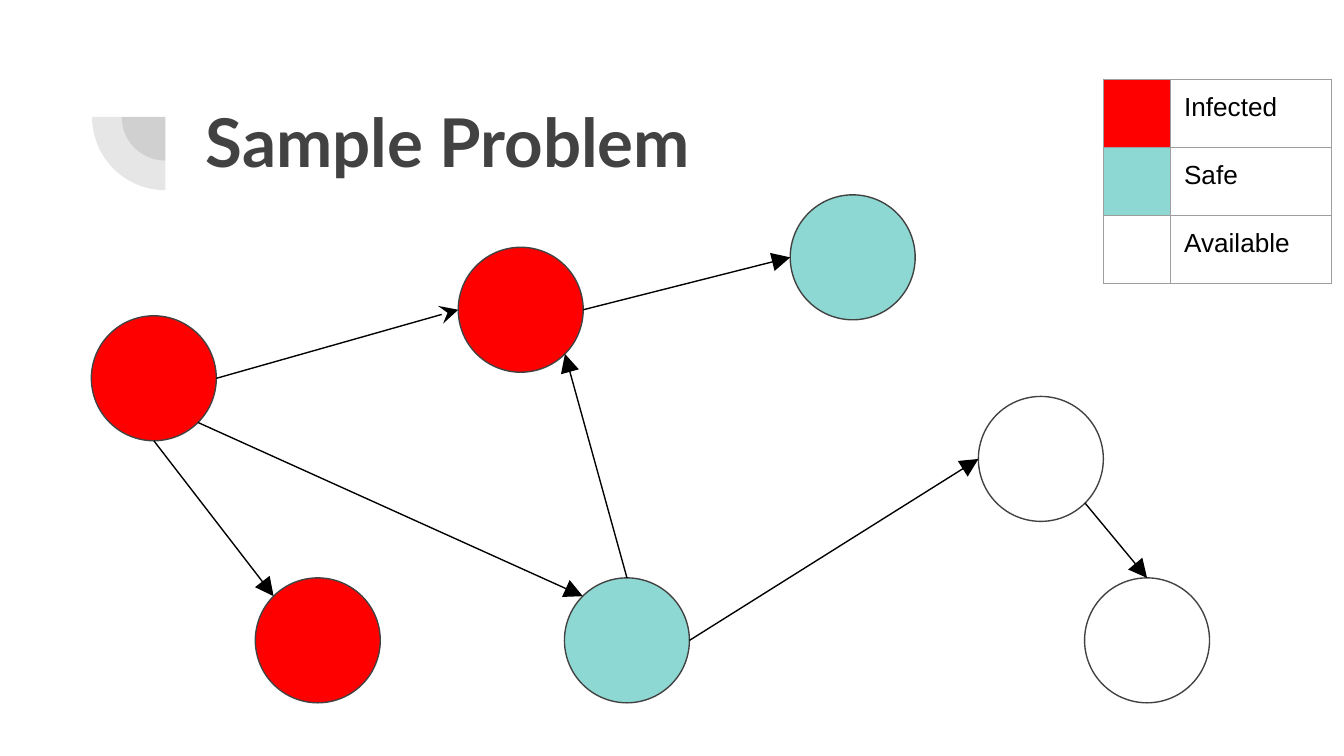
from dataclasses import dataclass
from math import cos, radians, sin

from lxml.etree import SubElement
from pptx import Presentation
from pptx.dml.color import RGBColor
from pptx.enum.shapes import MSO_CONNECTOR as Connector, MSO_SHAPE as Shape
from pptx.enum.text import MSO_ANCHOR as Anchor, MSO_AUTO_SIZE as AutoSize, PP_ALIGN as Align
from pptx.oxml.ns import qn
from pptx.util import Inches, Pt

RED, TEAL, WHITE = "FF0000", "8DD8D3", "FFFFFF"
BLACK, DARK, GREY = "000000", "424242", "9E9E9E"
DIAMETER = 0.93
RADIUS = DIAMETER / 2
RIGHT, LOWER_RIGHT, BOTTOM, LEFT, UPPER_LEFT, TOP = 0, 45, 90, 180, 225, 270


@dataclass(frozen=True)
class Node:
    left: float
    top: float
    color: str

    def edge(self, angle: float) -> tuple[float, float]:
        return (
            self.left + RADIUS + RADIUS * cos(radians(angle)),
            self.top + RADIUS + RADIUS * sin(radians(angle)),
        )


@dataclass(frozen=True)
class Link:
    source: Node
    source_angle: float
    target: Node
    target_angle: float
    head: str = "triangle"


@dataclass(frozen=True)
class Status:
    label: str
    color: str | None


def rgb(color: str) -> RGBColor:
    return RGBColor.from_string(color)


def draw_quarter(slide, center_x: float, center_y: float, diameter: float) -> None:
    quarter = slide.shapes.add_shape(
        Shape.PIE,
        Inches(center_x - diameter / 2),
        Inches(center_y - diameter / 2),
        Inches(diameter),
        Inches(diameter),
    )
    quarter.shadow.inherit = False
    quarter.rotation = 270
    quarter.adjustments[0] = 107.93
    quarter.adjustments[1] = 162
    quarter.fill.solid()
    quarter.fill.fore_color.rgb = rgb(DARK)
    color = quarter._element.spPr.find(f"{qn('a:solidFill')}/{qn('a:srgbClr')}")
    SubElement(color, qn("a:alpha"), val="13000")
    quarter.line.fill.background()


def draw_title(slide, text: str) -> None:
    title = slide.shapes.title
    title.left, title.top = Inches(1.43), Inches(0.65)
    title.width, title.height = Inches(7.69), Inches(1.09)
    frame = title.text_frame
    frame.text = text
    frame.word_wrap = True
    frame.auto_size = AutoSize.NONE
    frame.vertical_anchor = Anchor.TOP
    frame.margin_left = frame.margin_right = Inches(0.1)
    frame.margin_top = frame.margin_bottom = Inches(0.1)
    frame.paragraphs[0].alignment = Align.LEFT
    font = frame.paragraphs[0].runs[0].font
    font.name, font.size, font.bold = "Lato", Pt(36), True
    font.color.rgb = rgb(DARK)


def draw_node(slide, node: Node) -> None:
    circle = slide.shapes.add_shape(
        Shape.OVAL, Inches(node.left), Inches(node.top), Inches(DIAMETER), Inches(DIAMETER)
    )
    circle.shadow.inherit = False
    circle.fill.solid()
    circle.fill.fore_color.rgb = rgb(node.color)
    circle.line.color.rgb = rgb(DARK)
    circle.line.width = Pt(0.75)


def draw_link(slide, link: Link) -> None:
    start = link.source.edge(link.source_angle)
    end = link.target.edge(link.target_angle)
    arrow = slide.shapes.add_connector(Connector.STRAIGHT, *map(Inches, start + end))
    arrow.line.color.rgb = rgb(BLACK)
    arrow.line.width = Pt(0.75)
    properties = arrow._element.spPr
    SubElement(properties.find(qn("a:ln")), qn("a:tailEnd"), type=link.head, w="lg", len="lg")
    SubElement(properties, qn("a:effectLst"))


def style_cell(cell, color: str | None) -> None:
    properties = cell._tc.get_or_add_tcPr()
    for side in ("lnL", "lnR", "lnT", "lnB"):
        border = SubElement(properties, qn(f"a:{side}"), w=str(Pt(0.75)))
        SubElement(SubElement(border, qn("a:solidFill")), qn("a:srgbClr"), val=GREY)
    if color:
        cell.fill.solid()
        cell.fill.fore_color.rgb = rgb(color)
    else:
        cell.fill.background()
    cell.margin_left = cell.margin_right = Inches(0.1)
    cell.margin_top = cell.margin_bottom = Inches(0.1)


def draw_legend(slide, statuses: list[Status]) -> None:
    height = Inches(1.52)
    legend = slide.shapes.add_table(
        len(statuses), 2, Inches(8.21), Inches(0.59), Inches(1.71), height
    ).table
    legend.first_row = legend.horz_banding = False
    legend.columns[0].width, legend.columns[1].width = Inches(0.5), Inches(1.2)
    for row, status in enumerate(statuses):
        legend.rows[row].height = height // len(statuses)
        swatch, label = legend.cell(row, 0), legend.cell(row, 1)
        style_cell(swatch, status.color)
        style_cell(label, None)
        swatch.text_frame.paragraphs[0].font.size = Pt(14)
        label.text_frame.text = status.label
        font = label.text_frame.paragraphs[0].runs[0].font
        font.name, font.size = "Arial", Pt(14)
        font.color.rgb = rgb(BLACK)


def main() -> None:
    deck = Presentation()
    deck.slide_width = Inches(10)
    deck.slide_height = deck.slide_width * 9 // 16
    slide = deck.slides.add_slide(deck.slide_layouts[5])

    origin = Node(0.68, 2.35, RED)
    upper_infected = Node(3.41, 1.84, RED)
    lower_infected = Node(1.9, 4.3, RED)
    upper_safe = Node(5.88, 1.45, TEAL)
    lower_safe = Node(4.2, 4.3, TEAL)
    upper_available = Node(7.28, 2.95, WHITE)
    lower_available = Node(8.07, 4.3, WHITE)
    nodes = [
        origin, upper_available, upper_infected, lower_available,
        lower_safe, lower_infected, upper_safe,
    ]
    links = [
        Link(origin, RIGHT, upper_infected, LEFT, "stealth"),
        Link(upper_infected, RIGHT, upper_safe, LEFT),
        Link(origin, LOWER_RIGHT, lower_safe, UPPER_LEFT),
        Link(lower_safe, TOP, upper_infected, LOWER_RIGHT),
        Link(lower_safe, RIGHT, upper_available, LEFT),
        Link(origin, BOTTOM, lower_infected, UPPER_LEFT),
        Link(upper_available, LOWER_RIGHT, lower_available, TOP),
    ]

    for diameter in (0.65, 1.09):
        draw_quarter(slide, 1.23, 0.87, diameter)
    draw_title(slide, "Sample Problem")
    for node in nodes:
        draw_node(slide, node)
    for link in links:
        draw_link(slide, link)
    draw_legend(slide, [Status("Infected", RED), Status("Safe", TEAL), Status("Available", None)])

    deck.save("out.pptx")


if __name__ == "__main__":
    main()
